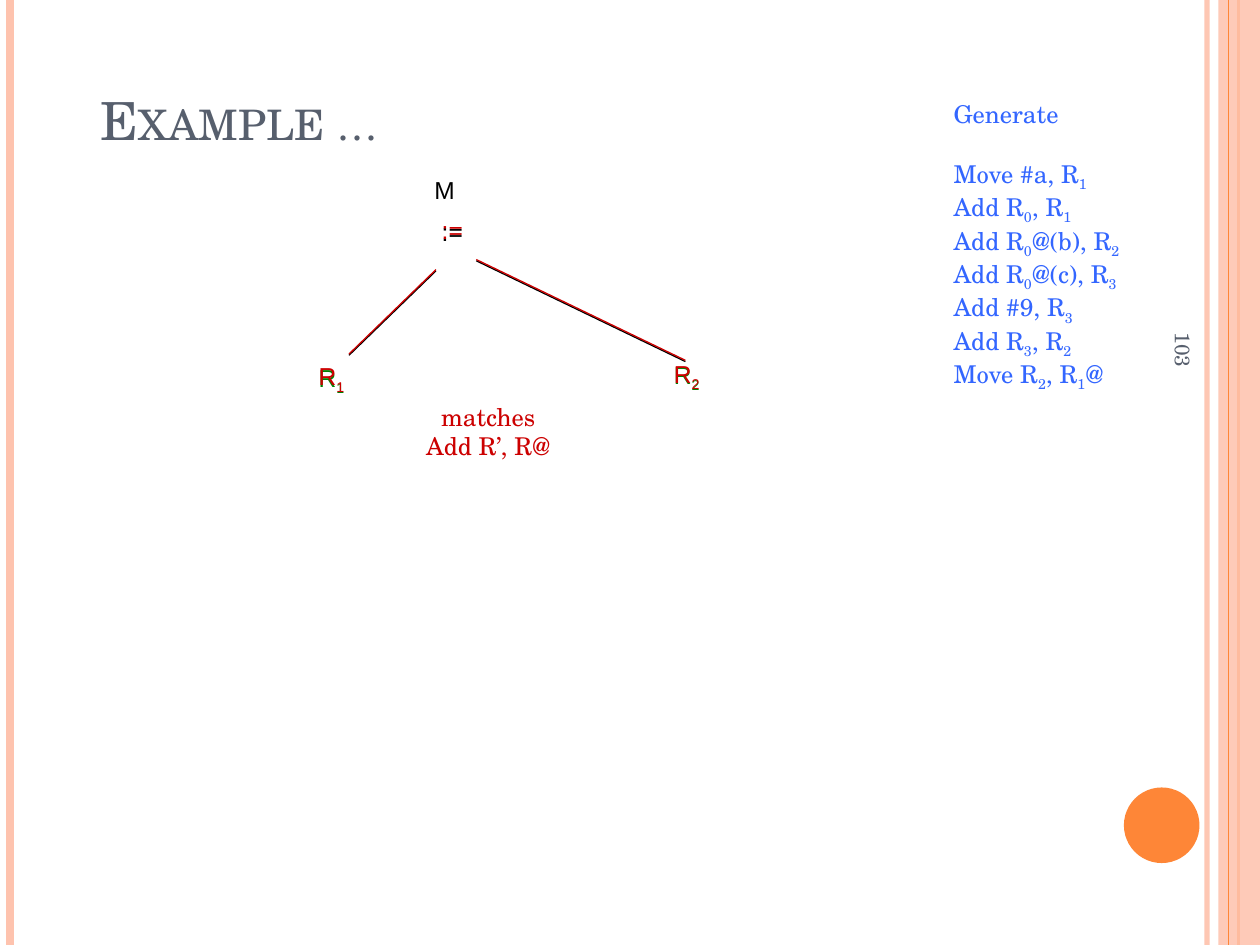
from lxml.etree import SubElement
from pptx import Presentation
from pptx.dml.color import RGBColor
from pptx.enum.shapes import MSO_CONNECTOR, MSO_SHAPE
from pptx.enum.text import MSO_ANCHOR, PP_ALIGN
from pptx.oxml.ns import qn
from pptx.util import Inches, Pt

BLACK = RGBColor(0x00, 0x00, 0x00)
RED = RGBColor(0xCC, 0x00, 0x00)
GREEN = RGBColor(0x00, 0x80, 0x00)
BLUE = RGBColor(0x33, 0x66, 0xFF)
SLATE = RGBColor(0x57, 0x5F, 0x6D)
ORANGE = RGBColor(0xFE, 0x86, 0x37)
PEACH = RGBColor(0xFE, 0xC3, 0xAE)
SERIF = "TeX Gyre Schola"
SANS = "Arial"

INSTRUCTIONS = [
    "Move #a, R_1",
    "Add R_0, R_1",
    "Add R_0@(b), R_2",
    "Add R_0@(c), R_3",
    "Add #9, R_3",
    "Add R_3, R_2",
    "Move R_2, R_1@",
]


def set_opacity(shape, percent):
    """Make the first solid colour of a shape partly transparent."""
    color = next(shape._element.spPr.iter(qn("a:srgbClr")))
    SubElement(color, qn("a:alpha")).set("val", str(percent * 1000))


def add_line(page, start, end, color, width):
    """Draw a straight line between two points given in inches."""
    points = [Inches(value) for value in (*start, *end)]
    line = page.shapes.add_connector(MSO_CONNECTOR.STRAIGHT, *points)
    line.line.color.rgb = color
    line.line.width = Pt(width)
    SubElement(line._element.spPr, qn("a:effectLst"))
    return line


def add_spans(para, text):
    """Fill a paragraph, lowering each digit that follows an underscore."""
    head, *tails = text.split("_")
    para.add_run().text = head
    for tail in tails:
        span = para.add_run()
        span.text = tail[0]
        span._r.get_or_add_rPr().set("baseline", "-25000")
        if tail[1:]:
            para.add_run().text = tail[1:]


def add_text(page, bounds, lines, color, font=SANS, size=14, align=PP_ALIGN.LEFT):
    """Add a text box with one paragraph for each line."""
    box = page.shapes.add_textbox(*(Inches(value) for value in bounds))
    frame = box.text_frame
    frame.word_wrap = True
    for index, text in enumerate(lines):
        para = frame.add_paragraph() if index else frame.paragraphs[0]
        add_spans(para, text)
        para.alignment = align
        para.font.name = font
        para.font.size = Pt(size)
        para.font.color.rgb = color
    return box


def add_frame(page):
    """Draw the side stripes, the corner disc and the page number."""
    stripes = [(9.58, PEACH, 3), (0.08, PEACH, 4.5), (9.83, ORANGE, 1.5)]
    lines = [add_line(page, (x, 0), (x, 7.5), color, width) for x, color, width in stripes]
    set_opacity(lines[0], 93)
    shapes = [
        (MSO_SHAPE.RECTANGLE, (9.67, 0, 0.33, 7.5), PEACH, 87),
        (MSO_SHAPE.OVAL, (8.92, 6.25, 0.6, 0.6), ORANGE, 100),
    ]
    for kind, bounds, color, opacity in shapes:
        shape = page.shapes.add_shape(kind, *(Inches(value) for value in bounds))
        shape.shadow.inherit = False
        shape.fill.solid()
        shape.fill.fore_color.rgb = color
        shape.line.fill.background()
        set_opacity(shape, opacity)
    add_line(page, (9.75, 0), (9.75, 7.5), ORANGE, 0.75)
    number = add_text(page, (7.64, 4.09, 3.5, 0.4), ["103"], SLATE, SERIF, 12)
    number.rotation = 90
    number.text_frame.vertical_anchor = MSO_ANCHOR.MIDDLE


def add_title(page, bounds):
    """Place and format the title in small capitals."""
    title = page.shapes.title
    title.left, title.top, title.width, title.height = (Inches(value) for value in bounds)
    title.text_frame.vertical_anchor = MSO_ANCHOR.BOTTOM
    para = title.text_frame.paragraphs[0]
    para.alignment = PP_ALIGN.LEFT
    span = para.add_run()
    span.text = "Example …"
    span._r.get_or_add_rPr().set("cap", "small")
    para.font.name = SERIF
    para.font.size = Pt(30)
    para.font.color.rgb = SLATE


def add_tree(page, left, top, ink, leaf_color):
    """Draw the assignment node with its two register leaves."""
    add_text(page, (left + 0.92, top, 0.48, 0.5), [":="], ink, align=PP_ALIGN.CENTER)
    add_line(page, (left + 1.03, top + 0.48), (left + 0.34, top + 1.15), ink, 0.75)
    add_line(page, (left + 1.35, top + 0.4), (left + 3.01, top + 1.2), ink, 0.75)
    add_text(page, (left, top + 1.16, 0.53, 0.5), ["R_1"], leaf_color)
    add_text(page, (left + 2.82, top + 1.14, 0.53, 0.5), ["R_2"], leaf_color)


def add_code(page, bounds):
    """List the generated instructions below their heading."""
    box = add_text(page, bounds, ["Generate", *INSTRUCTIONS], BLUE, SERIF)
    box.text_frame.paragraphs[1].space_before = Pt(17)


def main():
    """Build the slide and save the deck."""
    deck = Presentation()
    deck.slide_width, deck.slide_height = Inches(10), Inches(7.5)
    page = deck.slides.add_slide(deck.slide_layouts[5])
    add_frame(page)
    add_title(page, (0.7, 0, 8.5, 1.25))
    add_tree(page, 2.43, 1.67, BLACK, GREEN)
    add_code(page, (7.47, 0.74, 2.53, 3.69))
    add_text(page, (2.92, 3.14, 1.91, 0.9), ["matches", "Add R’, R@"], RED, SERIF,
             align=PP_ALIGN.CENTER)
    add_tree(page, 2.43, 1.66, RED, RED)
    add_text(page, (3.35, 1.34, 0.5, 0.5), ["M"], BLACK)
    deck.save("out.pptx")


if __name__ == "__main__":
    main()
